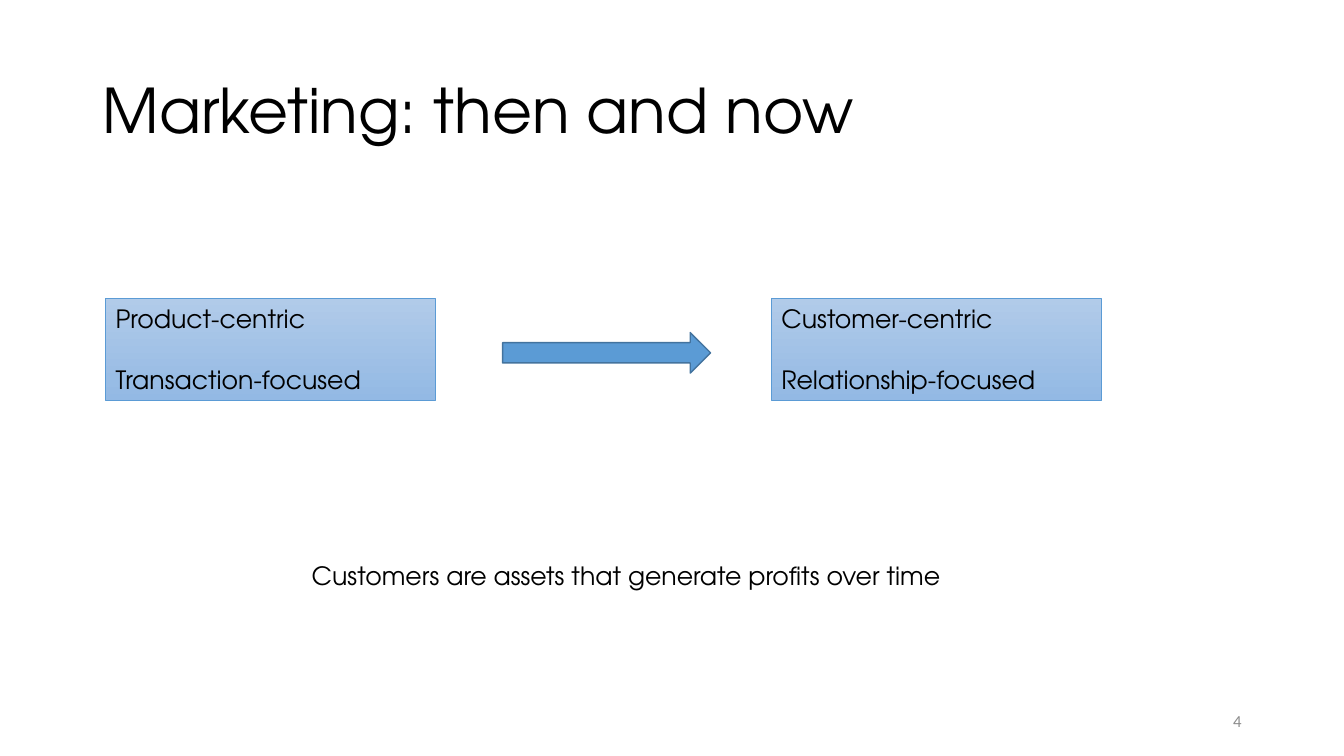
from pptx import Presentation
from pptx.dml.color import RGBColor
from pptx.enum.shapes import MSO_SHAPE
from pptx.enum.text import MSO_ANCHOR, MSO_AUTO_SIZE, PP_ALIGN
from pptx.util import Pt

RECTANGLE, RIGHT_ARROW = MSO_SHAPE.RECTANGLE, MSO_SHAPE.RIGHT_ARROW
TOP, MIDDLE = MSO_ANCHOR.TOP, MSO_ANCHOR.MIDDLE
LEFT, RIGHT = PP_ALIGN.LEFT, PP_ALIGN.RIGHT
NO_AUTOFIT = MSO_AUTO_SIZE.NONE

TITLE = "Marketing: then and now"
ERAS = [
    ("Product-centric", "Transaction-focused"),
    ("Customer-centric", "Relationship-focused"),
]
CONCLUSION = "Customers are assets that generate profits over time"
PAGE_NUMBER = "4"

COLORS = {
    "text": "000000",
    "number": "8C8C8C",
    "box_top": "B1CBE9",
    "box_bottom": "93B9E4",
    "accent": "5B9BD5",
    "arrow_line": "43739E",
}
FONT, NUMBER_FONT = "TeX Gyre Adventor", "Calibri"
BODY_SIZE = 18

TITLE_AREA = (66, 28.8, 828, 104.4)
NUMBER_AREA = (678, 500.5, 216, 28.75)
CONCLUSION_AREA = (215.5, 397, 473, 29)
ARROW_AREA = (359, 237.5, 148.5, 29)
BOX_LEFT, BOX_TOP, BOX_WIDTH, BOX_HEIGHT = 75.5, 213, 235.5, 73
BOX_STEP = 475.5
LINE_GAP = 22


def color(name):
    return RGBColor.from_string(COLORS[name])


def points(area):
    return [Pt(value) for value in area]


def write(shape, lines, size=BODY_SIZE, font=FONT, ink="text",
          align=LEFT, anchor=TOP, gap=0):
    frame = shape.text_frame
    frame.text = "\n".join(lines)
    frame.word_wrap = True
    frame.auto_size = NO_AUTOFIT
    frame.vertical_anchor = anchor
    for index, para in enumerate(frame.paragraphs):
        para.alignment = align
        para.space_before = Pt(gap if index else 0)
        for span in para.runs:
            span.font.size = Pt(size)
            span.font.name = font
            span.font.color.rgb = color(ink)


def add_outlined(page, kind, area, line, width):
    shape = page.shapes.add_shape(kind, *points(area))
    shape.shadow.inherit = False
    shape.line.color.rgb = color(line)
    shape.line.width = Pt(width)
    return shape


def add_era(page, index, lines):
    area = (BOX_LEFT + index * BOX_STEP, BOX_TOP, BOX_WIDTH, BOX_HEIGHT)
    box = add_outlined(page, RECTANGLE, area, "accent", 0.5)
    box.fill.gradient()
    box.fill.gradient_angle = 270
    for stop, name in zip(box.fill.gradient_stops, ("box_top", "box_bottom")):
        stop.color.rgb = color(name)
    write(box, lines, gap=LINE_GAP)


def main():
    deck = Presentation()
    deck.slide_width, deck.slide_height = Pt(960), Pt(540)
    page = deck.slides.add_slide(deck.slide_layouts[5])

    title = page.shapes.title
    title.left, title.top, title.width, title.height = points(TITLE_AREA)
    write(title, [TITLE], size=44, anchor=MIDDLE)
    title.text_frame.paragraphs[0].line_spacing = 0.9

    number = page.shapes.add_textbox(*points(NUMBER_AREA))
    write(number, [PAGE_NUMBER], size=12, font=NUMBER_FONT, ink="number",
          align=RIGHT, anchor=MIDDLE)

    for index, lines in enumerate(ERAS):
        add_era(page, index, lines)

    arrow = add_outlined(page, RIGHT_ARROW, ARROW_AREA, "arrow_line", 1)
    arrow.fill.solid()
    arrow.fill.fore_color.rgb = color("accent")

    write(page.shapes.add_textbox(*points(CONCLUSION_AREA)), [CONCLUSION])
    deck.save("out.pptx")


if __name__ == "__main__":
    main()
